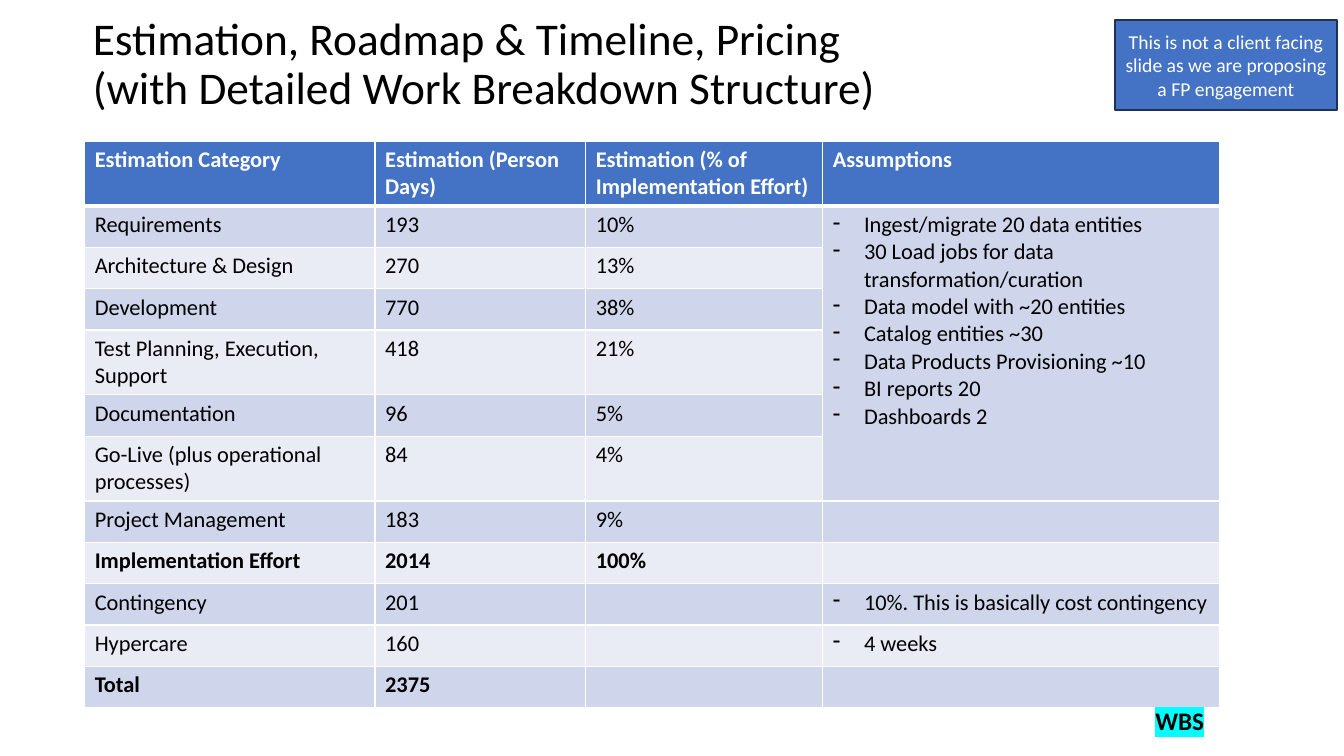
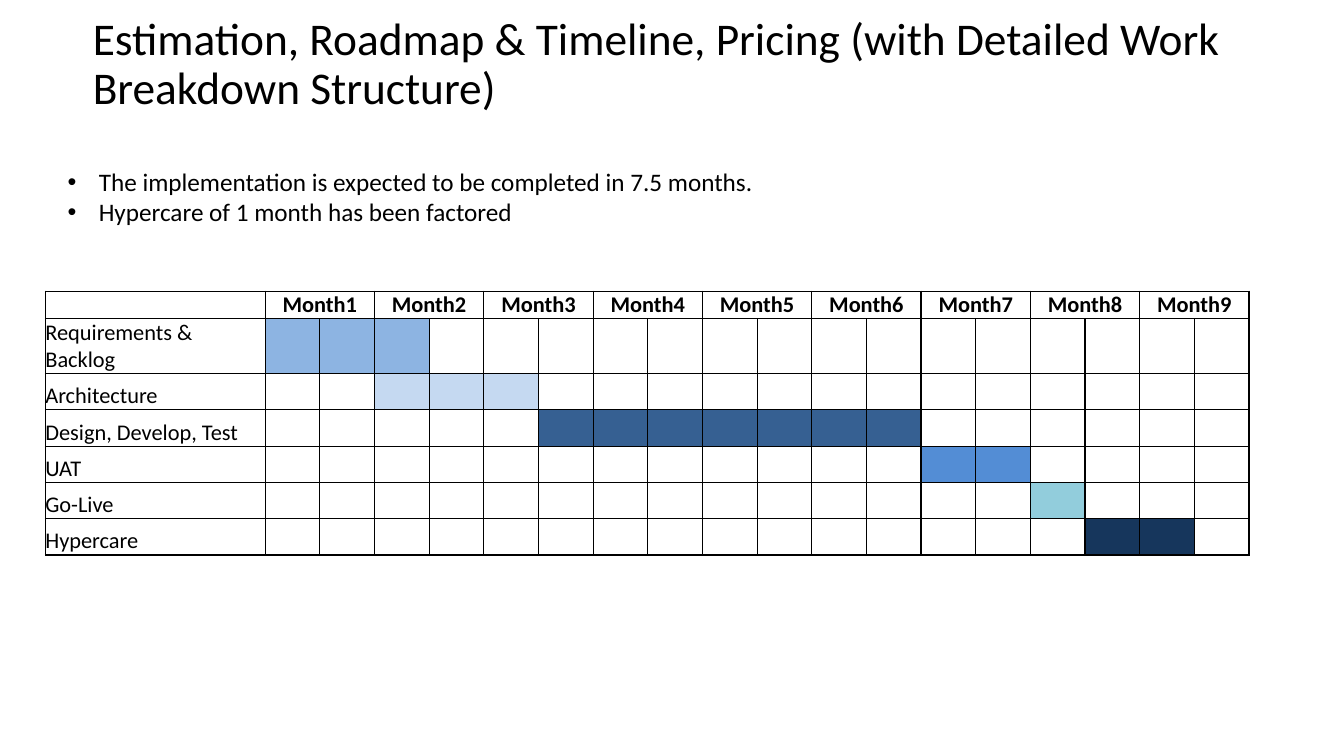
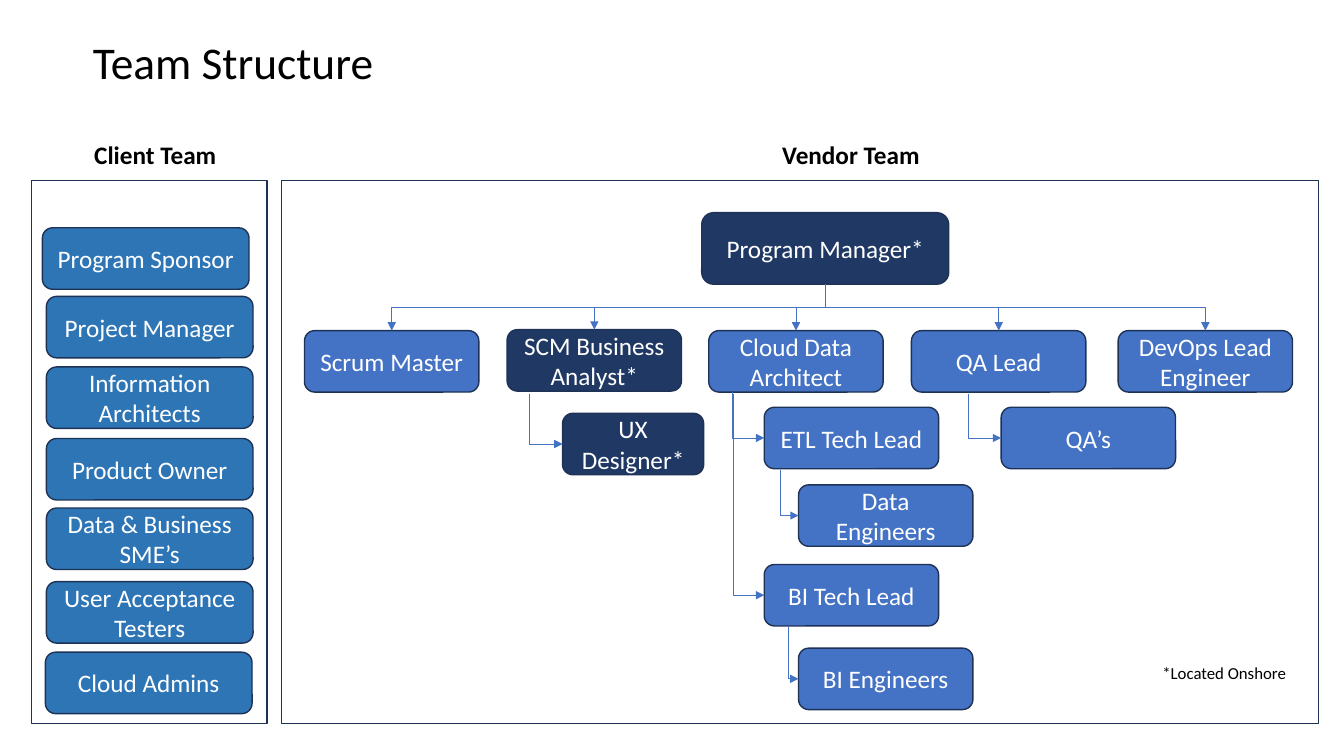
"""Build three slides: estimate table, timeline and team structure."""
from dataclasses import dataclass

from lxml import etree
from pptx import Presentation
from pptx import util as u
from pptx.dml.color import RGBColor
from pptx.enum import shapes, text
from pptx.oxml.ns import qn


@dataclass(frozen=True)
class Theme:
    """Colours, font and type sizes shared by all slides."""
    font: str = "Calibri"
    ink: str = "000000"
    paper: str = "FFFFFF"
    blue: str = "4472C4"
    navy: str = "203864"
    steel: str = "2E75B6"
    edge: str = "1E3256"
    mark: str = "00FFFF"
    bands: tuple = ("E9EBF5", "CFD5EA")
    title: float = 32.4
    body: float = 18
    cell: float = 16
    note: float = 14
    foot: float = 12


T = Theme()
CENTER = text.PP_ALIGN.CENTER
HEAD = "Estimation, Roadmap & Timeline, Pricing (with Detailed Work Breakdown Structure)"

COSTS = [
    ("Estimation Category", "Estimation (Person Days)",
     "Estimation (% of Implementation Effort)", "Assumptions"),
    ("Requirements", "193", "10%",
     "Ingest/migrate 20 data entities\n"
     "30 Load jobs for data transformation/curation\n"
     "Data model with ~20 entities\n"
     "Catalog entities ~30\n"
     "Data Products Provisioning ~10\n"
     "BI reports 20\n"
     "Dashboards 2"),
    ("Architecture & Design", "270", "13%", ""),
    ("Development", "770", "38%", ""),
    ("Test Planning, Execution, Support", "418", "21%", ""),
    ("Documentation", "96", "5%", ""),
    ("Go-Live (plus operational processes)", "84", "4%", ""),
    ("Project Management", "183", "9%", ""),
    ("Implementation Effort", "2014", "100%", ""),
    ("Contingency", "201", "", "10%. This is basically cost contingency"),
    ("Hypercare", "160", "", "4 weeks"),
    ("Total", "2375", "", ""),
]
SUMS = ("Implementation Effort", "Total")

PHASES = [
    ("Requirements & Backlog", 1, 3, "8DB4E2"),
    ("Architecture", 3, 5, "C5D9F1"),
    ("Design, Develop, Test", 6, 12, "366092"),
    ("UAT", 13, 14, "538DD5"),
    ("Go-Live", 15, 15, "92CDDC"),
    ("Hypercare", 16, 17, "16365C"),
]
MONTHS = 9

CLIENT = [
    ("Program Sponsor", 0.42, 2.26),
    ("Project Manager", 0.46, 2.94),
    ("Information Architects", 0.46, 3.64),
    ("Product Owner", 0.46, 4.35),
    ("Data & Business SME’s", 0.46, 5.04),
    ("User Acceptance Testers", 0.46, 5.77),
    ("Cloud Admins", 0.45, 6.47),
]
LEADS = [
    ("Scrum Master", 3.02, 3.28, T.blue),
    ("SCM Business Analyst*", 5.03, 3.27, T.navy),
    ("Cloud Data Architect", 7.03, 3.28, T.blue),
    ("QA Lead", 9.04, 3.28, T.blue),
    ("DevOps Lead Engineer", 11.09, 3.28, T.blue),
]
STAFF = [
    ("UX Designer*", 5.58, 4.1, 1.4, T.navy, 5.25, 3.91),
    ("ETL Tech Lead", 7.58, 4.04, 1.73, T.blue, 7.26, 3.89),
    ("Data Engineers", 7.92, 4.81, 1.73, T.blue, 7.74, 4.66),
    ("BI Tech Lead", 7.58, 5.6, 1.73, T.blue, 7.27, 3.91),
    ("BI Engineers", 7.92, 6.43, 1.73, T.blue, 7.82, 6.22),
    ("QA’s", 9.93, 4.04, 1.73, T.blue, 9.6, 3.91),
]


def rgb(code):
    """Turn a hex code into a colour."""
    return RGBColor.from_string(code)


def inches(*sizes):
    """Turn numbers into lengths."""
    return [u.Inches(size) for size in sizes]


def bullet(para, sign):
    """Give a paragraph a hanging bullet."""
    props = para._p.get_or_add_pPr()
    props.set("marL", str(u.Inches(0.31)))
    props.set("indent", str(-u.Inches(0.31)))
    etree.SubElement(props, qn("a:buChar")).set("char", sign)


def write(frame, words, size, color=T.ink, bold=False, align=None, sign=None):
    """Fill a text frame, one paragraph a line, in one style."""
    frame.text = words
    for para in frame.paragraphs:
        if sign:
            bullet(para, sign)
        if align is not None:
            para.alignment = align
        font = para.font
        font.name, font.size, font.bold = T.font, u.Pt(size), bold
        font.color.rgb = rgb(color)


def place(shape, *box):
    """Move and size a shape."""
    shape.left, shape.top, shape.width, shape.height = inches(*box)


def start(deck, layout, words, width=11.5):
    """Add a slide with the shared title style."""
    page = deck.slides.add_slide(deck.slide_layouts[layout])
    title = page.shapes.title
    place(title, 0.82, 0.34, width, 0.61)
    frame = title.text_frame
    write(frame, words, T.title, align=text.PP_ALIGN.LEFT)
    frame.auto_size = text.MSO_AUTO_SIZE.NONE
    frame.vertical_anchor = text.MSO_ANCHOR.MIDDLE
    frame.paragraphs[0].line_spacing = 0.9
    return page


def label(page, words, box, size=T.body, bold=False, align=None):
    """Add a wrapped text box."""
    frame = page.shapes.add_textbox(*inches(*box)).text_frame
    frame.word_wrap = True
    write(frame, words, size, bold=bold, align=align)
    return frame


def block(page, box, fill=None, words="", size=T.body, round=True):
    """Add an outlined box, filled and labelled if asked."""
    kind = shapes.MSO_SHAPE.ROUNDED_RECTANGLE if round else shapes.MSO_SHAPE.RECTANGLE
    shape = page.shapes.add_shape(kind, *inches(*box))
    shape.shadow.inherit = False
    shape.line.color.rgb = rgb(T.edge)
    shape.line.width = u.Pt(1)
    if fill:
        shape.fill.solid()
        shape.fill.fore_color.rgb = rgb(fill)
    else:
        shape.fill.background()
    if words:
        write(shape.text_frame, words, size, T.paper, align=CENTER)
        shape.text_frame.vertical_anchor = text.MSO_ANCHOR.MIDDLE
    return shape


def elbow(page, x, y, box, root=None):
    """Lead an arrow down from a point to a box's top (from a root) or left side."""
    if root:
        endx, endy = box.left + box.width // 2, box.top
    else:
        endx, endy = box.left, box.top + box.height // 2
    link = page.shapes.add_connector(shapes.MSO_CONNECTOR.ELBOW, x, y, endx, endy)
    if root:
        link.begin_connect(root, 2)
        link.end_connect(box, 0)
    wide, high = abs(endx - x), endy - y
    link.left = (x + endx - high) // 2
    link.top = (y + endy - wide) // 2
    link.width, link.height = high, wide
    right = endx > x
    props = link._element.spPr
    turn = props.find(qn("a:xfrm"))
    turn.set("rot", "16200000" if right else "5400000")
    turn.set("flipH", "1" if right else "0")
    turn.set("flipV", "0")
    props.find(qn("a:prstGeom")).set("prst", "bentConnector3" if root else "bentConnector2")
    link.line.color.rgb = rgb(T.blue)
    link.line.width = u.Pt(0.5)
    etree.SubElement(props.find(qn("a:ln")), qn("a:tailEnd")).set("type", "triangle")
    etree.SubElement(props, qn("a:effectLst"))


def border(cell, color, top=1, low=1):
    """Draw a cell's four borders."""
    props = cell._tc.get_or_add_tcPr()
    for spot, (side, size) in enumerate(zip("LRTB", (1, 1, top, low))):
        line = etree.Element(qn("a:ln" + side), w=str(u.Pt(size)))
        fill = etree.SubElement(line, qn("a:solidFill"))
        etree.SubElement(fill, qn("a:srgbClr")).set("val", color)
        props.insert(spot, line)


def paint(cell, color):
    """Fill a cell, or clear it."""
    if color:
        cell.fill.solid()
        cell.fill.fore_color.rgb = rgb(color)
    else:
        cell.fill.background()


def grid(page, at, cols, rows):
    """Add a plain table with given column widths and row heights."""
    box = inches(*at, sum(cols), sum(rows))
    table = page.shapes.add_table(len(rows), len(cols), *box).table
    table.horz_banding = False
    for col, width in zip(table.columns, cols):
        col.width = u.Inches(width)
    for row, height in zip(table.rows, rows):
        row.height = u.Inches(height)
    return table


def costs(deck):
    """Build the estimate slide."""
    page = start(deck, 5, HEAD, 8.32)
    table = grid(page, (0.84, 1.4), (2.88, 2.09, 2.35, 3.94), [0.41] * len(COSTS))
    for r, row in enumerate(COSTS):
        head = r == 0
        for c, words in enumerate(row):
            cell = table.cell(r, c)
            write(cell.text_frame, words, T.cell, T.paper if head else T.ink,
                  bold=head or row[0] in SUMS,
                  sign="-" if c == 3 and words and not head else None)
            paint(cell, T.blue if head else T.bands[r % 2])
            border(cell, T.paper, top=3 if r == 1 else 1, low=3 if head else 1)
    table.cell(1, 3).merge(table.cell(6, 3))
    wbs = label(page, "WBS", (11.36, 6.95, 1.59, 0.4), bold=True)
    glow = etree.SubElement(wbs.paragraphs[0].runs[0]._r.get_or_add_rPr(), qn("a:highlight"))
    etree.SubElement(glow, qn("a:srgbClr")).set("val", T.mark)
    block(page, (11.06, 0.2, 2.2, 0.89), T.blue,
          "This is not a client facing slide as we are proposing a FP engagement",
          T.note, round=False)


def plan(deck):
    """Build the timeline slide."""
    page = start(deck, 1, HEAD)
    body = page.placeholders[1]
    place(body, 0.57, 1.6, 12.12, 1.01)
    frame = body.text_frame
    write(frame, "The implementation is expected to be completed in 7.5 months.\n"
          "Hypercare of 1 month has been factored", T.body, sign="•")
    frame.auto_size = text.MSO_AUTO_SIZE.NONE
    for para in frame.paragraphs:
        para.space_before = u.Pt(0)
    halves = 2 * MONTHS
    cols = [2.18] + [(11.94 - 2.18) / halves] * halves
    table = grid(page, (0.45, 2.89), cols, [0.17] + [0.36] * len(PHASES))
    months = [""] + [f"Month{c // 2 + 1}" if c % 2 == 0 else "" for c in range(halves)]
    rows = [(months, 0, 0, None)]
    rows += [([name] + [""] * halves, first, last, color)
             for name, first, last, color in PHASES]
    for r, (names, first, last, color) in enumerate(rows):
        for c, words in enumerate(names):
            cell = table.cell(r, c)
            cell.margin_left = cell.margin_right = cell.margin_top = cell.margin_bottom = 0
            cell.vertical_anchor = text.MSO_ANCHOR.BOTTOM
            write(cell.text_frame, words, T.cell, bold=r == 0,
                  align=CENTER if r == 0 else None)
            paint(cell, color if first <= c <= last else None)
            border(cell, T.ink)
    for c in range(1, halves, 2):
        table.cell(0, c).merge(table.cell(0, c + 1))


def team(deck):
    """Build the team slide."""
    page = start(deck, 5, "Team Structure")
    for name, x, left, width in (("Client Team", 0.42, 0.31, 2.34),
                                 ("Vendor Team", 7.32, 2.79, 10.29)):
        block(page, (left, 1.79, width, 5.39), round=False)
        label(page, name, (x, 1.33, 2.24, 0.4), bold=True, align=CENTER)
    for name, x, y in CLIENT:
        block(page, (x, y, 2.05, 0.61), T.steel, name)
    chief = block(page, (6.96, 2.11, 2.45, 0.71), T.navy, "Program Manager*")
    for name, x, y, fill in LEADS:
        lead = block(page, (x, y, 1.73, 0.61), fill, name)
        elbow(page, chief.left + chief.width // 2, chief.top + chief.height, lead, chief)
    for name, x, y, width, fill, *point in STAFF:
        member = block(page, (x, y, width, 0.61), fill, name)
        elbow(page, *inches(*point), member)
    label(page, "*Located Onshore", (11.43, 6.53, 1.65, 0.3), T.foot)


def main():
    """Build and save the deck."""
    deck = Presentation()
    deck.slide_width, deck.slide_height = inches(13.33, 7.5)
    for build in (costs, plan, team):
        build(deck)
    deck.save("out.pptx")


if __name__ == "__main__":
    main()
